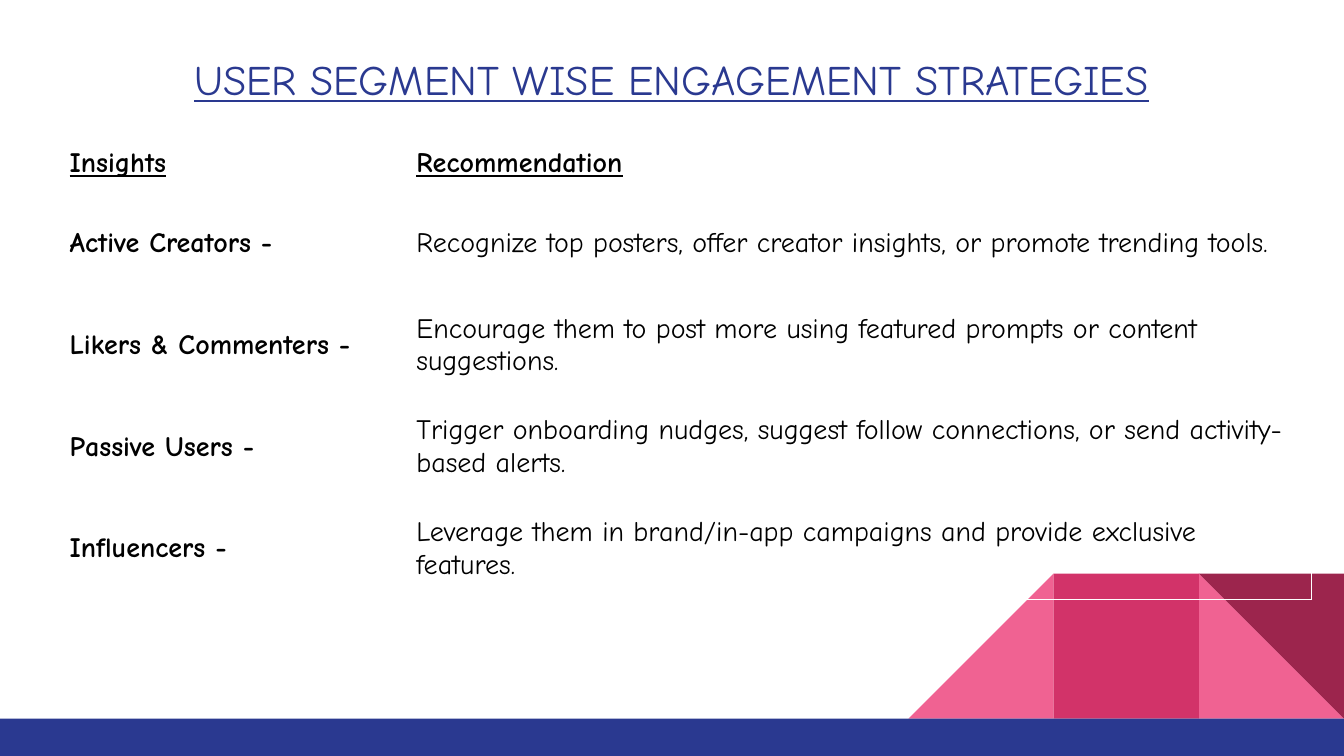
from dataclasses import dataclass

from pptx import Presentation
from pptx.dml.color import RGBColor
from pptx.enum.shapes import MSO_SHAPE as SHAPE
from pptx.enum.text import MSO_ANCHOR as ANCHOR, PP_ALIGN as ALIGN
from pptx.slide import Slide
from pptx.util import Inches, Pt

FONT = "Comic Neue"
BLUE, BLACK = "2A3990", "000000"
PINK, ROSE, MAROON = "F06292", "D23369", "9C254D"
SLIDE_W, SLIDE_H = 13.33, 7.5
BAR_TOP = 7.13
TILE = 1.44
TILE_TOP = BAR_TOP - TILE


@dataclass
class Block:
    shape: SHAPE
    left: float
    top: float
    width: float
    height: float
    color: str
    rotation: int = 0


@dataclass
class Segment:
    insight: str
    recommendation: str


def tile(shape: SHAPE, from_right: int, color: str, rotation: int = 0) -> Block:
    left = SLIDE_W - from_right * TILE
    return Block(shape, left, TILE_TOP, TILE, TILE, color, rotation)


BLOCKS = [
    tile(SHAPE.RIGHT_TRIANGLE, 1, PINK),
    tile(SHAPE.RIGHT_TRIANGLE, 3, PINK, 270),
    tile(SHAPE.RECTANGLE, 2, ROSE),
    tile(SHAPE.RIGHT_TRIANGLE, 1, MAROON, 180),
    Block(SHAPE.RECTANGLE, 0, BAR_TOP, SLIDE_W, SLIDE_H - BAR_TOP, BLUE),
]

SEGMENTS = [
    Segment("Insights", "Recommendation"),
    Segment("Active Creators -",
            "Recognize top posters, offer creator insights, or promote trending tools."),
    Segment("Likers & Commenters -",
            "Encourage them to post more using featured prompts or content suggestions."),
    Segment("Passive Users -",
            "Trigger onboarding nudges, suggest follow connections, or send activity-based alerts."),
    Segment("Influencers -",
            "Leverage them in brand/in-app campaigns and provide exclusive features."),
]
COLUMN_WIDTHS = [3.44, 8.98]
HEADER_H, ROW_H = 0.58, 1.01


def rgb(color: str) -> RGBColor:
    return RGBColor.from_string(color)


def style_font(p, size: int, color: str, bold: bool, underline: bool) -> None:
    font = p.font
    font.name, font.size = FONT, Pt(size)
    font.bold, font.underline = bold, underline
    font.color.rgb = rgb(color)


def add_block(slide: Slide, block: Block) -> None:
    sp = slide.shapes.add_shape(block.shape, Inches(block.left), Inches(block.top),
                                Inches(block.width), Inches(block.height))
    sp.rotation = block.rotation
    sp.shadow.inherit = False
    sp.fill.solid()
    sp.fill.fore_color.rgb = rgb(block.color)
    sp.line.fill.background()


def format_title(slide: Slide, text: str) -> None:
    title = slide.shapes.title
    title.left, title.top = Inches(0.45), Inches(0.37)
    title.width, title.height = Inches(12.42), Inches(0.89)
    tf = title.text_frame
    tf.text = text
    tf.vertical_anchor = ANCHOR.MIDDLE
    p = tf.paragraphs[0]
    p.alignment = ALIGN.CENTER
    p.line_spacing = 0.9
    style_font(p, 30, BLUE, bold=False, underline=True)


def add_segment_table(slide: Slide) -> None:
    height = HEADER_H + ROW_H * (len(SEGMENTS) - 1)
    table = slide.shapes.add_table(len(SEGMENTS), len(COLUMN_WIDTHS), Inches(0.59), Inches(1.33),
                                   Inches(sum(COLUMN_WIDTHS)), Inches(height)).table
    table.first_row = table.horz_banding = False
    for column, width in zip(table.columns, COLUMN_WIDTHS):
        column.width = Inches(width)
    for i, segment in enumerate(SEGMENTS):
        header = i == 0
        table.rows[i].height = Inches(HEADER_H if header else ROW_H)
        for j, text in enumerate((segment.insight, segment.recommendation)):
            cell = table.cell(i, j)
            cell.text = text
            cell.fill.background()
            cell.vertical_anchor = ANCHOR.MIDDLE
            style_font(cell.text_frame.paragraphs[0], 20, BLACK,
                       bold=header or j == 0, underline=header)


def main() -> None:
    prs = Presentation()
    prs.slide_width, prs.slide_height = Inches(SLIDE_W), Inches(SLIDE_H)
    slide = prs.slides.add_slide(prs.slide_layouts[5])
    for block in BLOCKS:
        add_block(slide, block)
    format_title(slide, "USER SEGMENT WISE ENGAGEMENT STRATEGIES")
    add_segment_table(slide)
    prs.save("out.pptx")


if __name__ == "__main__":
    main()
